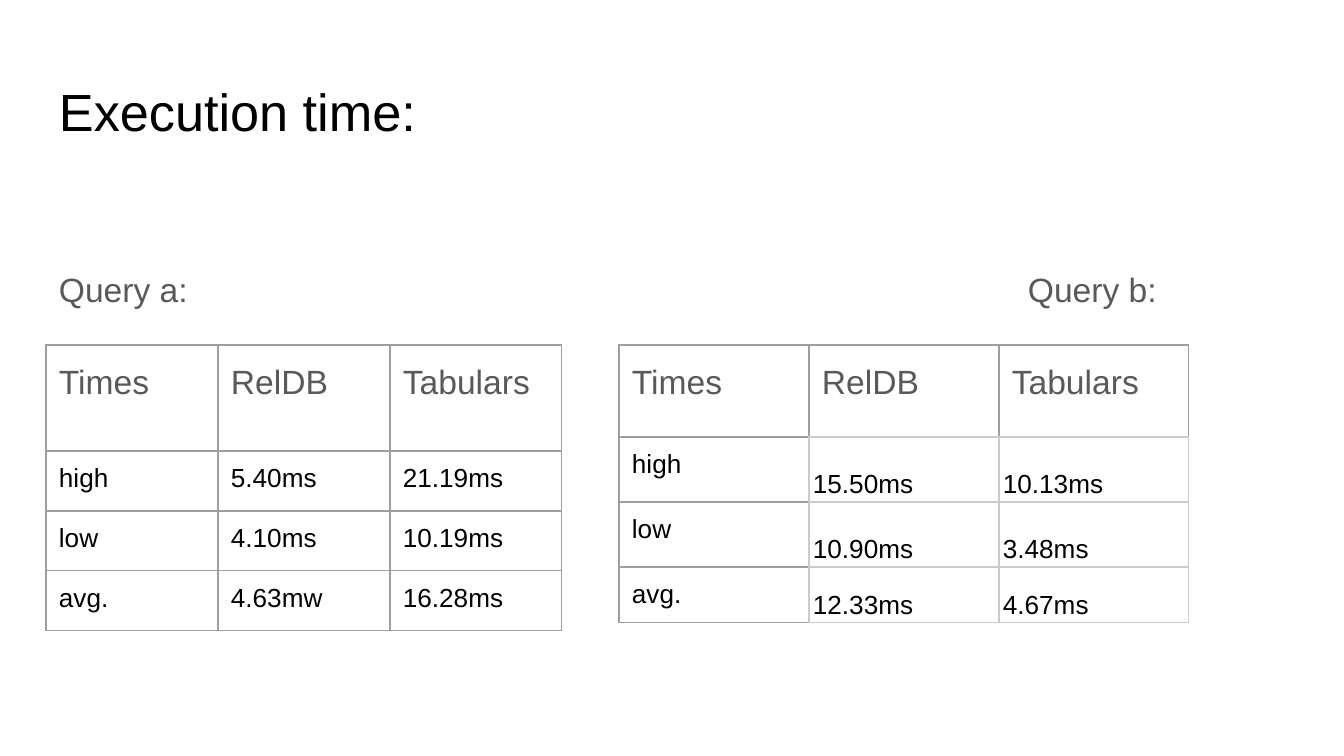
import pptx
import pptx.dml.color
import pptx.enum.text
import pptx.oxml
import pptx.oxml.ns
import pptx.util
from dataclasses import dataclass

PX = 9144000 / 1344
NS = pptx.oxml.ns.nsdecls("a")
ANCHOR = pptx.enum.text.MSO_ANCHOR


@dataclass(frozen=True)
class Theme:
    font: str = "Arial"
    text: str = "000000"
    muted: str = "595959"
    border: str = "9E9E9E"
    light_border: str = "CCCCCC"
    title: int = 28
    heading: int = 18
    body: int = 14
    border_width: float = 0.75
    spacing: float = 1.15
    heading_after: int = 16
    inset: tuple = (13, 13, 13, 13)
    tight_inset: tuple = (4, 3, 4, 3)


def px(n):
    return pptx.util.Emu(round(n * PX))


class Deck:
    def __init__(self, theme, width, height):
        self.theme = theme
        self.prs = pptx.Presentation()
        self.prs.slide_width, self.prs.slide_height = px(width), px(height)
        self.slide = self.prs.slides.add_slide(self.prs.slide_layouts[5])

    def place(self, sp, box):
        sp.left, sp.top, sp.width, sp.height = map(px, box)

    def inset(self, target, margins):
        left, top, right, bottom = map(px, margins)
        target.margin_left, target.margin_top = left, top
        target.margin_right, target.margin_bottom = right, bottom

    def add_text(self, tf, text, size, color, spacing=1.0, after=0):
        p = tf.paragraphs[0]
        p.alignment = pptx.enum.text.PP_ALIGN.LEFT
        p.line_spacing = spacing
        p.space_after = pptx.util.Pt(after)
        r = p.add_run()
        r.text = text
        r.font.name = self.theme.font
        r.font.size = pptx.util.Pt(size)
        r.font.color.rgb = pptx.dml.color.RGBColor.from_string(color)
        return p

    def frame(self, sp, margins):
        tf = sp.text_frame
        tf.word_wrap = True
        tf.auto_size = pptx.enum.text.MSO_AUTO_SIZE.NONE
        tf.vertical_anchor = ANCHOR.TOP
        self.inset(tf, margins)
        return tf

    def title(self, text, box):
        sp = self.slide.shapes.title
        self.place(sp, box)
        tf = self.frame(sp, self.theme.inset)
        self.add_text(tf, text, self.theme.title, self.theme.text)

    def headings(self, labels, box, margins, tab):
        t = self.theme
        sp = self.slide.shapes.add_textbox(*map(px, box))
        tf = self.frame(sp, margins)
        p = self.add_text(tf, "\t".join(labels), t.heading, t.muted, t.spacing, t.heading_after)
        tabs = f'<a:tabLst {NS}><a:tab pos="{px(tab)}" algn="l"/></a:tabLst>'
        p._p.get_or_add_pPr().append(pptx.oxml.parse_xml(tabs))

    def borders(self, cell, colors):
        tc_pr = cell._tc.get_or_add_tcPr()
        width = pptx.util.Pt(self.theme.border_width)
        for side, color in zip("LRTB", colors):
            tc_pr.append(pptx.oxml.parse_xml(
                f'<a:ln{side} {NS} w="{width}"><a:solidFill>'
                f'<a:srgbClr val="{color}"/></a:solidFill></a:ln{side}>'))

    def table(self, rows, left, top, col_width, heights, tight=False):
        t = self.theme
        cols = len(rows[0])
        tbl = self.slide.shapes.add_table(
            len(rows), cols, px(left), px(top), px(col_width * cols), px(sum(heights))).table
        tbl.first_row = tbl.horz_banding = False
        for col in tbl.columns:
            col.width = px(col_width)
        for i, (row, height) in enumerate(zip(rows, heights)):
            tbl.rows[i].height = px(height)
            for j, text in enumerate(row):
                cell = tbl.cell(i, j)
                value = tight and i > 0 and j > 0
                light = (value, value or (tight and i > 0), value, value or (tight and j > 0))
                self.borders(cell, [t.light_border if on else t.border for on in light])
                cell.fill.background()
                self.inset(cell, t.tight_inset if value else t.inset)
                cell.vertical_anchor = ANCHOR.BOTTOM if value else ANCHOR.TOP
                if i == 0:
                    self.add_text(cell.text_frame, text, t.heading, t.muted,
                                  t.spacing, t.heading_after)
                else:
                    self.add_text(cell.text_frame, text, t.body, t.text,
                                  t.spacing if value else 1.0)


def main():
    deck = Deck(Theme(), 1344, 756)
    deck.title("Execution time:", (46, 66, 1253, 85))
    deck.headings(("Query a:", "Query b:"), (46, 176, 1253, 503), (13, 87, 13, 13), 969)
    header = ("Times", "RelDB", "Tabulars")
    query_a = (
        header,
        ("high", "5.40ms", "21.19ms"),
        ("low", "4.10ms", "10.19ms"),
        ("avg.", "4.63mw", "16.28ms"),
    )
    query_b = (
        header,
        ("high", "15.50ms", "10.13ms"),
        ("low", "10.90ms", "3.48ms"),
        ("avg.", "12.33ms", "4.67ms"),
    )
    deck.table(query_a, 46, 345, 172, (106, 60, 60, 60))
    deck.table(query_b, 619, 345, 190, (92, 65, 65, 56), tight=True)
    deck.prs.save("out.pptx")


if __name__ == "__main__":
    main()
